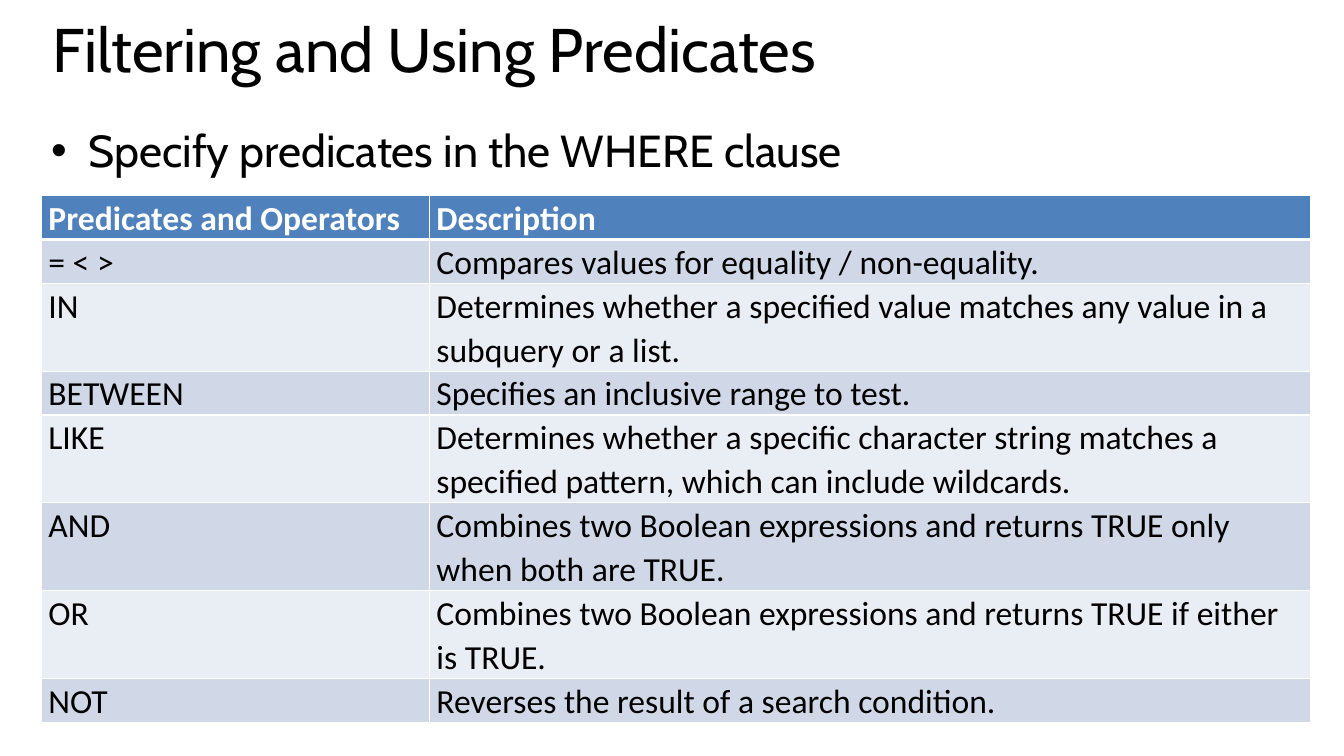
import pptx
import pptx.util
import pptx.dml.color
import pptx.enum.text
import pptx.oxml
import pptx.oxml.ns
from pptx.util import Cm

COLORS = {
    "text": "000000",
    "header": "4F81BD",
    "header_text": "FFFFFF",
    "band_dark": "D0D8E8",
    "band_light": "E9EDF4",
    "border": "FFFFFF",
}

TITLE_BOX = (1.07, 0.51, 32, 2.95)
BULLET_BOX = (1.04, 2.97, 32, 1.93)
TABLE_BOX = (1.04, 4.93, 32, 8.32)
FIRST_COLUMN = 9.78
CELL_INSET = 0.18

PREDICATES = [
    ("Predicates and Operators", "Description"),
    ("= < >", "Compares values for equality / non-equality."),
    ("IN", "Determines whether a specified value matches any value in a subquery or a list."),
    ("BETWEEN", "Specifies an inclusive range to test."),
    ("LIKE", "Determines whether a specific character string matches a specified pattern, "
             "which can include wildcards."),
    ("AND", "Combines two Boolean expressions and returns TRUE only when both are TRUE."),
    ("OR", "Combines two Boolean expressions and returns TRUE if either is TRUE."),
    ("NOT", "Reverses the result of a search condition."),
]


def color(name):
    return pptx.dml.color.RGBColor.from_string(COLORS[name])


def write(frame, text, font="Cabin", size=32, fill="text", bold=False, spacing=1.0, before=0):
    frame.word_wrap = True
    frame.vertical_anchor = pptx.enum.text.MSO_ANCHOR.TOP
    para = frame.paragraphs[0]
    para.alignment = pptx.enum.text.PP_ALIGN.LEFT
    para.line_spacing = spacing
    para.space_before = pptx.util.Pt(before)
    span = para.add_run()
    span.text = text
    span.font.name = font
    span.font.size = pptx.util.Pt(size)
    span.font.bold = bold
    span.font.color.rgb = color(fill)
    return para


def add_title(page, box, text):
    title = page.shapes.title
    title.left, title.top, title.width, title.height = map(Cm, box)
    title.text_frame.auto_size = pptx.enum.text.MSO_AUTO_SIZE.NONE
    write(title.text_frame, text, size=44, spacing=0.8)


def add_bullet(page, box, text):
    frame = page.shapes.add_textbox(*map(Cm, box)).text_frame
    para = write(frame, text, before=14)
    properties = para._p.get_or_add_pPr()
    properties.set("marL", str(Cm(0.94)))
    properties.set("indent", str(-Cm(0.94)))
    namespace = pptx.oxml.ns.nsdecls("a")
    for markup in (f'<a:buFont {namespace} typeface="Arial"/>',
                   f'<a:buChar {namespace} char="•"/>'):
        properties.append(pptx.oxml.parse_xml(markup))


def set_borders(cell, bottom):
    properties = cell._tc.get_or_add_tcPr()
    namespace = pptx.oxml.ns.nsdecls("a")
    widths = {"lnL": 1, "lnR": 1, "lnT": 1, "lnB": bottom}
    for position, (side, width) in enumerate(widths.items()):
        line = pptx.oxml.parse_xml(
            f'<a:{side} {namespace} w="{pptx.util.Pt(width)}"><a:solidFill>'
            f'<a:srgbClr val="{COLORS["border"]}"/></a:solidFill></a:{side}>')
        properties.insert(position, line)


def add_predicate_table(page, box, rows):
    table = page.shapes.add_table(len(rows), len(rows[0]), *map(Cm, box)).table
    table.columns[0].width = Cm(FIRST_COLUMN)
    table.columns[1].width = Cm(box[2] - FIRST_COLUMN)
    for row_index, texts in enumerate(rows):
        header = row_index == 0
        band = "band_dark" if row_index % 2 else "band_light"
        table.rows[row_index].height = Cm(box[3] / len(rows))
        for column_index, text in enumerate(texts):
            cell = table.cell(row_index, column_index)
            cell.margin_left = cell.margin_right = Cm(CELL_INSET)
            cell.margin_top = cell.margin_bottom = 0
            cell.fill.solid()
            cell.fill.fore_color.rgb = color("header" if header else band)
            set_borders(cell, bottom=3 if header else 1)
            write(cell.text_frame, text, font="Calibri", size=24, bold=header,
                  fill="header_text" if header else "text", spacing=1.07)
            if row_index == 1:
                set_top_border(cell, 3)


def set_top_border(cell, width):
    line = cell._tc.tcPr.find(pptx.oxml.ns.qn("a:lnT"))
    line.set("w", str(pptx.util.Pt(width)))


def build_predicates_slide(deck):
    page = deck.slides.add_slide(deck.slide_layouts[5])
    add_title(page, TITLE_BOX, "Filtering and Using Predicates")
    add_predicate_table(page, TABLE_BOX, PREDICATES)
    add_bullet(page, BULLET_BOX, "Specify predicates in the WHERE clause")


deck = pptx.Presentation()
deck.slide_width = Cm(33.87)
deck.slide_height = Cm(19.05)
build_predicates_slide(deck)
deck.save("out.pptx")
